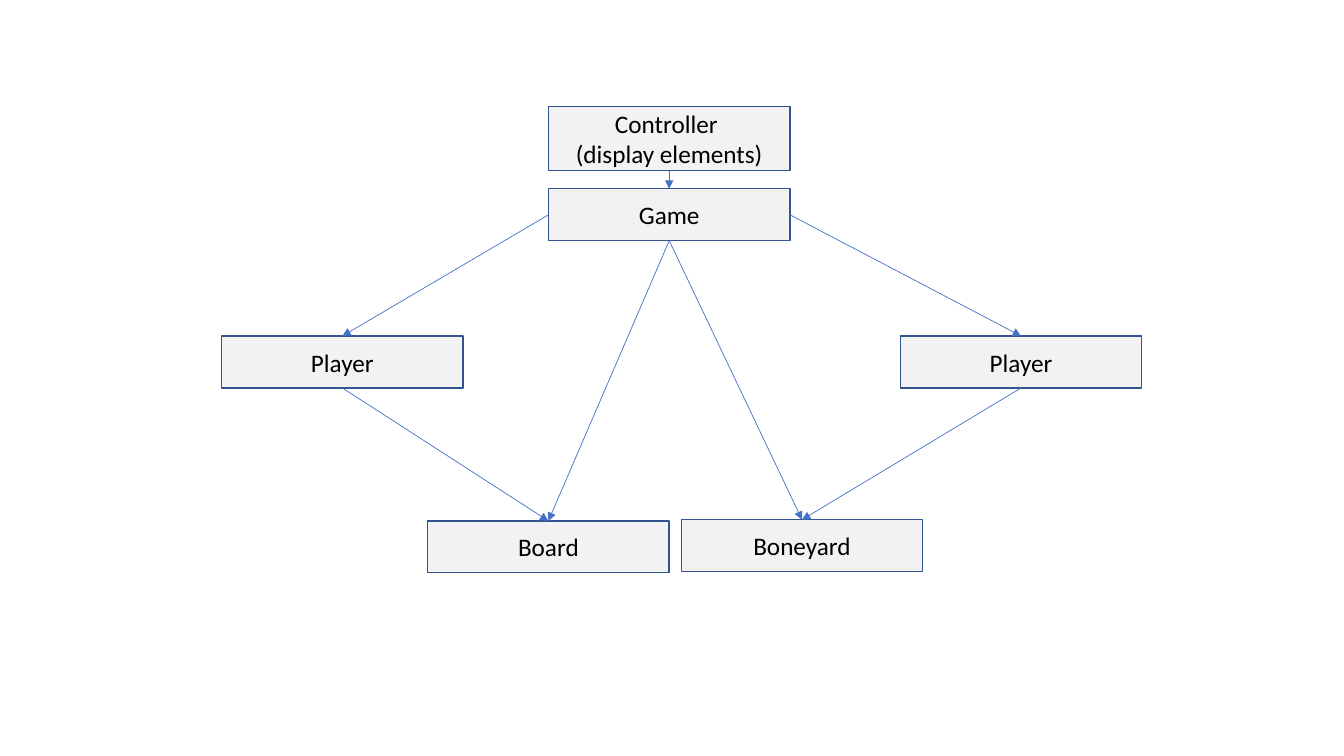
"""Draw the class diagram of a domino game."""
import dataclasses

import pptx
import pptx.dml.color
import pptx.enum.shapes
import pptx.enum.text
import pptx.oxml
import pptx.oxml.ns
import pptx.shapes.autoshape
import pptx.shapes.connector
import pptx.slide
import pptx.util

WIDE = pptx.util.Inches(13.33)
HIGH = pptx.util.Inches(7.5)
HUES = {"fill": "F2F2F2", "edge": "325491", "text": "000000", "link": "4472C4"}
SPAN, ROW = 17.95, 6.87
MID, UPPER, LOWER = 40.82, 44.45, 68.9
TOP, LEFT, BASE, RIGHT = range(4)


@dataclasses.dataclass(frozen=True)
class Box:
    text: str
    left: float
    top: float
    high: float = ROW


@dataclasses.dataclass(frozen=True)
class Link:
    start: str
    side: int
    end: str


BOXES = {
    "control": Box("Controller \n(display elements)", MID, 14.13, 8.45),
    "game": Box("Game", MID, 24.97),
    "first": Box("Player", 16.5, UPPER),
    "board": Box("Board", 31.83, LOWER),
    "bone": Box("Boneyard", 50.7, LOWER - 0.15),
    "second": Box("Player", 67, UPPER),
}
LINKS = [
    Link("control", BASE, "game"),
    Link("game", RIGHT, "second"),
    Link("game", LEFT, "first"),
    Link("game", BASE, "board"),
    Link("game", BASE, "bone"),
    Link("second", BASE, "bone"),
    Link("first", BASE, "board"),
]


def hue(name: str) -> pptx.dml.color.RGBColor:
    return pptx.dml.color.RGBColor.from_string(HUES[name])


def across(share: float) -> int:
    return round(WIDE * share / 100)


def down(share: float) -> int:
    return round(HIGH * share / 100)


def draw_box(slide: pptx.slide.Slide, box: Box) -> pptx.shapes.autoshape.Shape:
    shape = slide.shapes.add_shape(
        pptx.enum.shapes.MSO_SHAPE.RECTANGLE,
        across(box.left), down(box.top), across(SPAN), down(box.high),
    )
    shape.shadow.inherit = False
    shape.fill.solid()
    shape.fill.fore_color.rgb = hue("fill")
    shape.line.color.rgb = hue("edge")
    shape.line.width = pptx.util.Pt(1)
    frame = shape.text_frame
    frame.text = box.text
    frame.word_wrap = True
    frame.vertical_anchor = pptx.enum.text.MSO_ANCHOR.MIDDLE
    for para in frame.paragraphs:
        para.alignment = pptx.enum.text.PP_ALIGN.CENTER
        for run in para.runs:
            run.font.name = "Calibri"
            run.font.size = pptx.util.Pt(18)
            run.font.color.rgb = hue("text")
    return shape


def draw_link(
    slide: pptx.slide.Slide,
    link: Link,
    shapes: dict[str, pptx.shapes.autoshape.Shape],
) -> pptx.shapes.connector.Connector:
    line = slide.shapes.add_connector(
        pptx.enum.shapes.MSO_CONNECTOR.STRAIGHT, 0, 0, 0, 0
    )
    line.begin_connect(shapes[link.start], link.side)
    line.end_connect(shapes[link.end], TOP)
    line.line.color.rgb = hue("link")
    line.line.width = pptx.util.Pt(0.5)
    space = pptx.oxml.ns.nsdecls("a")
    tail = pptx.oxml.parse_xml(f'<a:tailEnd {space} type="triangle"/>')
    line.line._get_or_add_ln().append(tail)
    props = line._element.spPr
    props.append(pptx.oxml.parse_xml(f"<a:effectLst {space}/>"))
    return line


def main() -> None:
    deck = pptx.Presentation()
    deck.slide_width, deck.slide_height = WIDE, HIGH
    slide = deck.slides.add_slide(deck.slide_layouts[6])
    shapes = {name: draw_box(slide, box) for name, box in BOXES.items()}
    for link in LINKS:
        draw_link(slide, link, shapes)
    deck.save("out.pptx")


if __name__ == "__main__":
    main()
